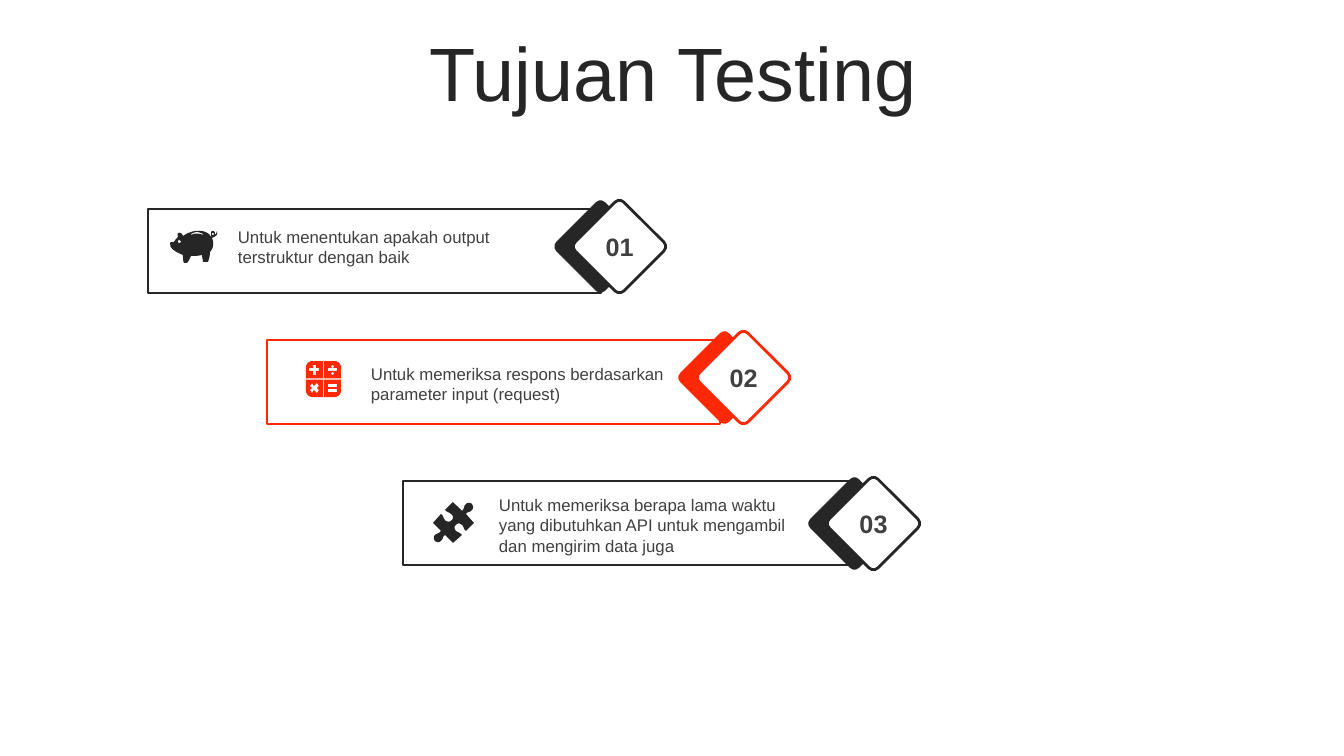
import math
import pptx
import pptx.dml.color
import pptx.enum.shapes
import pptx.enum.text
import pptx.util

SHAPE = pptx.enum.shapes.MSO_SHAPE
ALIGN = pptx.enum.text.PP_ALIGN
ANCHOR = pptx.enum.text.MSO_ANCHOR
FIT = pptx.enum.text.MSO_AUTO_SIZE


class Theme:
    font = "Arial"
    dark, accent, white, body = "262626", "FD2906", "FFFFFF", "404040"
    title_size, number_size, text_size, line_width = 54, 18, 12, 2


def px(value):
    return round(value * 914400 / 100.8)


def rgb(value):
    return pptx.dml.color.RGBColor.from_string(value)


def assign(target, formats):
    for name, value in formats.items():
        setattr(target, name, value)


def bezier(p0, p1, p2, p3, t):
    u = 1 - t
    return tuple(u**3 * a + 3 * u * u * t * b + 3 * u * t * t * c + t**3 * d
                 for a, b, c, d in zip(p0, p1, p2, p3))


def contour(text, steps=5):
    points = []
    for segment in text.split(","):
        n = [float(v) for v in segment.split()]
        pairs = list(zip(n[::2], n[1::2]))
        if len(pairs) == 1:
            points += pairs
        else:
            start = points[-1]
            points += [bezier(start, *pairs, i / steps) for i in range(1, steps + 1)]
    return points


def turn(point, center, degrees):
    a = math.radians(degrees)
    dx, dy = point[0] - center[0], point[1] - center[1]
    return (center[0] + dx * math.cos(a) - dy * math.sin(a),
            center[1] + dx * math.sin(a) + dy * math.cos(a))


class Deck:
    def __init__(self, theme, width, height):
        self.theme = theme
        self.prs = pptx.Presentation()
        self.prs.slide_width, self.prs.slide_height = px(width), px(height)
        self.s = self.prs.slides.add_slide(self.prs.slide_layouts[5])

    def fill_text(self, tf, text, size, color, frame=None, para=None, font=None):
        assign(tf, {"word_wrap": True, **(frame or {})})
        p = tf.paragraphs[0]
        assign(p, para or {})
        r = p.add_run()
        r.text = text
        assign(r.font, {"name": self.theme.font, "size": pptx.util.Pt(size), **(font or {})})
        r.font.color.rgb = rgb(color)

    def title(self, text, x, y, w, h):
        sp = self.s.shapes.title
        assign(sp, {"left": px(x), "top": px(y), "width": px(w), "height": px(h)})
        self.fill_text(sp.text_frame, text, self.theme.title_size, self.theme.dark,
                       {"vertical_anchor": ANCHOR.MIDDLE, "auto_size": FIT.NONE},
                       {"alignment": ALIGN.CENTER, "line_spacing": 0.9,
                        "space_before": pptx.util.Pt(10)})

    def text(self, text, x, y, w, h, size, **formats):
        sp = self.s.shapes.add_textbox(px(x), px(y), px(w), px(h))
        self.fill_text(sp.text_frame, text, size, self.theme.body, **formats)

    def paint(self, sp, fill, line=None):
        sp.shadow.inherit = False
        sp.fill.solid()
        sp.fill.fore_color.rgb = rgb(fill)
        if line:
            sp.line.color.rgb = rgb(line)
            sp.line.width = pptx.util.Pt(self.theme.line_width)
        else:
            sp.line.fill.background()

    def box(self, x, y, w, h, fill, line=None):
        sp = self.s.shapes.add_shape(SHAPE.RECTANGLE, px(x), px(y), px(w), px(h))
        self.paint(sp, fill, line)

    def diamond(self, x, y, side, fill, line=None):
        sp = self.s.shapes.add_shape(SHAPE.ROUNDED_RECTANGLE, px(x), px(y), px(side), px(side))
        sp.adjustments[0] = 0.09
        sp.rotation = 225
        self.paint(sp, fill, line)

    def icon(self, outlines, x, y, color, rotation=0, center=(0, 0)):
        fb = None
        for outline in outlines:
            points = [turn(pt, center, -rotation) for pt in contour(outline)]
            points = [(px(x + a), px(y + b)) for a, b in points]
            if fb is None:
                fb = self.s.shapes.build_freeform(*points[0], scale=1.0)
            else:
                fb.move_to(*points[0])
            fb.add_line_segments(points[1:], close=True)
        sp = fb.convert_to_shape()
        sp.rotation = rotation
        self.paint(sp, color)

    def step(self, number, text, color, box, diamond, label):
        self.box(*box, 453, 84, self.theme.white, color)
        x, y = diamond
        self.diamond(x, y, 69, color)
        self.diamond(x + 19, y, 69, self.theme.white, color)
        self.text(number, x + 29, y + 14, 49, 40, self.theme.number_size,
                  frame={"auto_size": FIT.SHAPE_TO_FIT_TEXT},
                  para={"alignment": ALIGN.CENTER}, font={"bold": True})
        self.text(text, *label, 323, 51, self.theme.text_size)


PIG = [
    "9 9,8 9 8 10 8 11,8 11 8 12 9 12,10 12 11 11 11 11,11 10 10 9 9 9",
    "43 2,42 2 42 2 42 3,42 4 42 4 43 4,43 4 44 4 44 3,44 2 43 2 43 2",
    "27 1,25 1 23 2 21 3,21 4,25 2 29 2 33 4,33 3,31 2 29 1 27 1",
    "26 0,32 -1 37 1 40 4,41 6,41 6 41 5 42 5,41 5 41 4 41 3,41 1 41 0 43 0,"
    "44 0 45 1 45 3,45 4 45 3 45 4,45 3 46 4 47 0,48 4 46 5 44 6,43 6 43 7 42 7,"
    "43 10,44 15 42 19 40 21,40 25 39 28 38 31,37 31 34 31 33 31,33 29 32 26 32 24,"
    "28 25 24 25 21 25,20 27 19 30 17 32,14 32,13 31 13 26 13 24,9 22 -1 19 0 12,"
    "0 11 3 11 4 11,5 9 6 8 8 6,8 5 7 3 8 2,11 1 12 3 13 5,17 2 23 0 26 0",
]
CALCULATOR = [
    "6 0,17 0,17 17.5,0 17.5,0 6,0 3 3 0 6 0",
    "18 0,29 0,32 0 35 3 35 6,35 17.5,18 17.5",
    "0 18.5,17 18.5,17 36,6 36,3 36 0 33 0 30",
    "18 18.5,35 18.5,35 30,35 33 32 36 29 36,18 36",
    "7 4,7 7,3 7,3 10,7 10,7 14,10 14,10 10,13 10,13 7,10 7,10 4",
    "6 22,4 25,6 27,4 29,6 32,8 29,11 32,13 29,11 27,13 25,11 22,8 25",
    *[f"22 {y},22 {y + 3},31 {y + 3},31 {y}" for y in (7, 23, 28)],
    *[f"27 {y},26 {y} 25 {y + 1} 25 {y + 1},25 {y + 2} 26 {y + 3} 27 {y + 3},"
      f"27 {y + 3} 28 {y + 2} 28 {y + 1},28 {y + 1} 27 {y} 27 {y}" for y in (4, 11)],
]
PUZZLE = [
    "39 2,40 4 41 6 39 8,37 11 35 9 33 12,41 21,33 29,30 27 31 24 29 23,"
    "27 21 24 21 23 23,21 24 21 27 23 29,26 31 26 30 29 33,20 41,12 33,"
    "9 35 11 36 8 39,6 41 3 40 2 39,1 38 0 35 2 33,4 31 6 32 8 29,0 21,8 12,"
    "11 14 10 17 13 19,15 20 17 20 19 18,20 17 21 14 18 12,16 10 15 11 12 8,"
    "20 0,29 9,32 6 30 5 33 2,35 0 38 1 39 2",
]

theme = Theme()
deck = Deck(theme, 1344, 756)
deck.title("Tujuan Testing", 35, 37, 1276, 80)
deck.step("01", "Untuk menentukan apakah output terstruktur dengan baik",
          theme.dark, (148, 209), (566, 212), (228, 222))
deck.step("02", "Untuk memeriksa respons berdasarkan parameter input (request)",
          theme.accent, (267, 340), (690, 343), (361, 359))
deck.step("03", "Untuk memeriksa berapa lama waktu yang dibutuhkan API untuk "
          "mengambil dan mengirim data juga",
          theme.dark, (403, 481), (820, 489), (489, 490))
deck.icon(PIG, 170, 231, theme.dark)
deck.icon(CALCULATOR, 306, 361, theme.accent)
deck.icon(PUZZLE, 433, 502, theme.dark, 45, (20.5, 20.5))
deck.prs.save("out.pptx")
